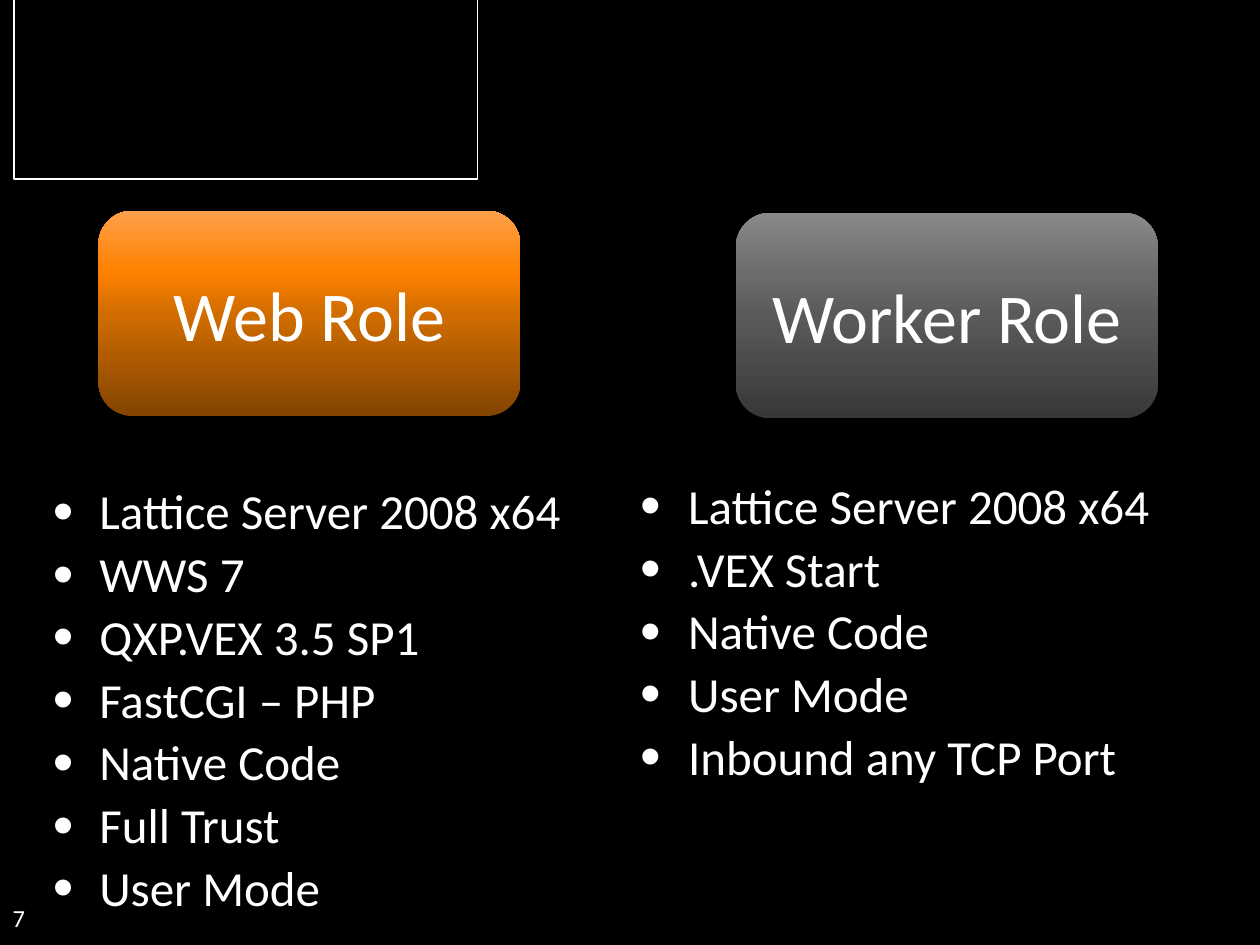
from lxml.etree import SubElement
from pptx import Presentation
from pptx.dml.color import RGBColor
from pptx.enum.shapes import MSO_SHAPE as Shape
from pptx.enum.text import MSO_ANCHOR as Anchor, MSO_AUTO_SIZE as AutoSize, PP_ALIGN as Align
from pptx.oxml.ns import qn
from pptx.util import Pt

ROLES = [
    dict(name="Web Role", box=(56.2, 120.4), body=(30.2, 278.6, 324, 254.2), indent=26.6,
         stops=[(0, "824400"), (50, "D16D00"), (70, "FE8100"), (100, "FFA04B")],
         features=["Lattice Server 2008 x64", "WWS 7", "QXP.VEX 3.5 SP1",
                   "FastCGI – PHP", "Native Code", "Full Trust", "User Mode"]),
    dict(name="Worker Role", box=(420.5, 121.7), body=(365.8, 275.4, 324, 180), indent=27.4,
         stops=[(0, "383838"), (50, "5A5A5A"), (70, "6C6C6C"), (100, "898989")],
         features=["Lattice Server 2008 x64", ".VEX Start", "Native Code",
                   "User Mode", "Inbound any TCP Port"]),
]
BOX_SIZE = (241.2, 117.4)
FRAME = (7.9, -18, 265, 120.2)
NUMBER = (7.2, 504, 167.8, 28.8)
NO_MARGINS = dict(margin_left=0, margin_top=0, margin_right=0, margin_bottom=0)


def color(value):
    return RGBColor.from_string(value)


def points(values):
    return [Pt(v) for v in values]


def put(obj, values):
    for key, value in values.items():
        setattr(obj, key, value)


def write(p, text, size):
    r = p.add_run()
    r.text = text
    put(r.font, dict(name="Calibri", size=Pt(size)))
    r.font.color.rgb = color("FFFFFF")


def fill_upward(shape, stops):
    """Fill with a gradient whose first stop lies at the bottom edge."""
    shape.fill.gradient()
    shape.fill.gradient_angle = 90
    stop_list = shape._element.spPr.find(qn("a:gradFill")).find(qn("a:gsLst"))
    for old in list(stop_list):
        stop_list.remove(old)
    for position, value in stops:
        stop = SubElement(stop_list, qn("a:gs"), pos=str(position * 1000))
        SubElement(stop, qn("a:srgbClr"), val=value)


def add_bullet(p, indent):
    pPr = p._p.get_or_add_pPr()
    pPr.set("marL", str(Pt(indent)))
    pPr.set("indent", str(-Pt(indent)))
    SubElement(pPr, qn("a:buSzPct"), val="120000")
    SubElement(pPr, qn("a:buFont"), typeface="Arial")
    SubElement(pPr, qn("a:buChar"), char="•")


def fill_body(body, role):
    put(body, dict(zip(("left", "top", "width", "height"), points(role["body"]))))
    tf = body.text_frame
    put(tf, dict(NO_MARGINS, word_wrap=True, auto_size=AutoSize.NONE))
    for i, feature in enumerate(role["features"]):
        p = tf.add_paragraph() if i else tf.paragraphs[0]
        put(p, dict(line_spacing=0.9, space_before=Pt(5.6)))
        add_bullet(p, role["indent"])
        write(p, feature, 28)


def add_role_box(s, role):
    box = s.shapes.add_shape(Shape.ROUNDED_RECTANGLE, *points(role["box"] + BOX_SIZE))
    box.shadow.inherit = False
    box.line.fill.background()
    fill_upward(box, role["stops"])
    tf = box.text_frame
    put(tf, dict(word_wrap=True, vertical_anchor=Anchor.MIDDLE))
    p = tf.paragraphs[0]
    p.alignment = Align.CENTER
    write(p, role["name"], 40)


def add_frame(s):
    frame = s.shapes.add_shape(Shape.RECTANGLE, *points(FRAME))
    frame.shadow.inherit = False
    frame.fill.solid()
    frame.fill.fore_color.rgb = color("000000")
    frame.line.color.rgb = color("FFFFFF")
    frame.line.width = Pt(1)


def add_number(s):
    tf = s.shapes.add_textbox(*points(NUMBER)).text_frame
    put(tf, dict(NO_MARGINS, word_wrap=True, vertical_anchor=Anchor.BOTTOM))
    write(tf.paragraphs[0], "7", 14)


def main():
    prs = Presentation()
    put(prs, dict(slide_width=Pt(720), slide_height=Pt(540)))
    s = prs.slides.add_slide(prs.slide_layouts[3])
    s.background.fill.solid()
    s.background.fill.fore_color.rgb = color("000000")
    title, *bodies = s.placeholders
    title._element.getparent().remove(title._element)

    add_number(s)
    for body, role in zip(bodies, ROLES):
        fill_body(body, role)
        add_role_box(s, role)
    add_frame(s)
    prs.save("out.pptx")


if __name__ == "__main__":
    main()
